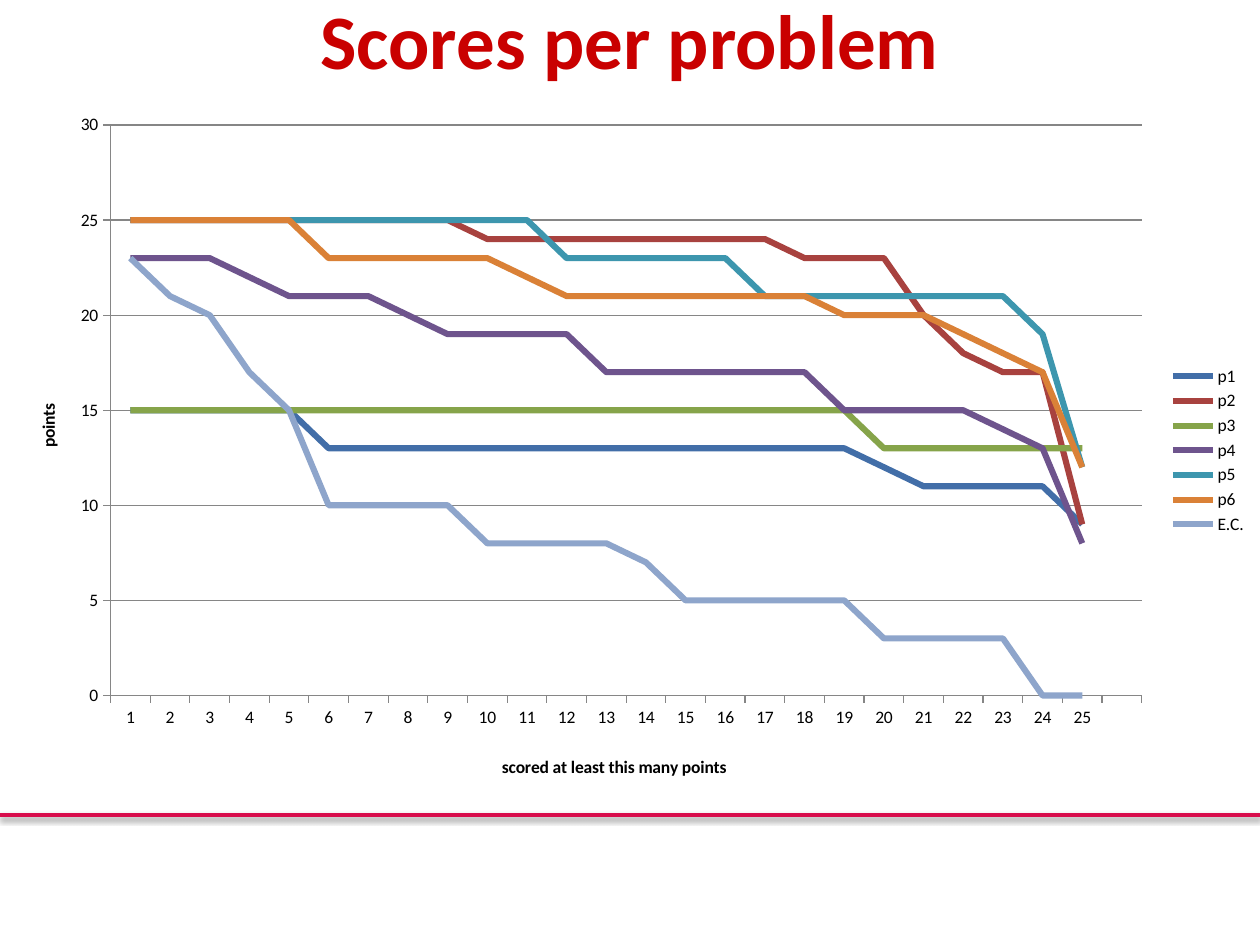
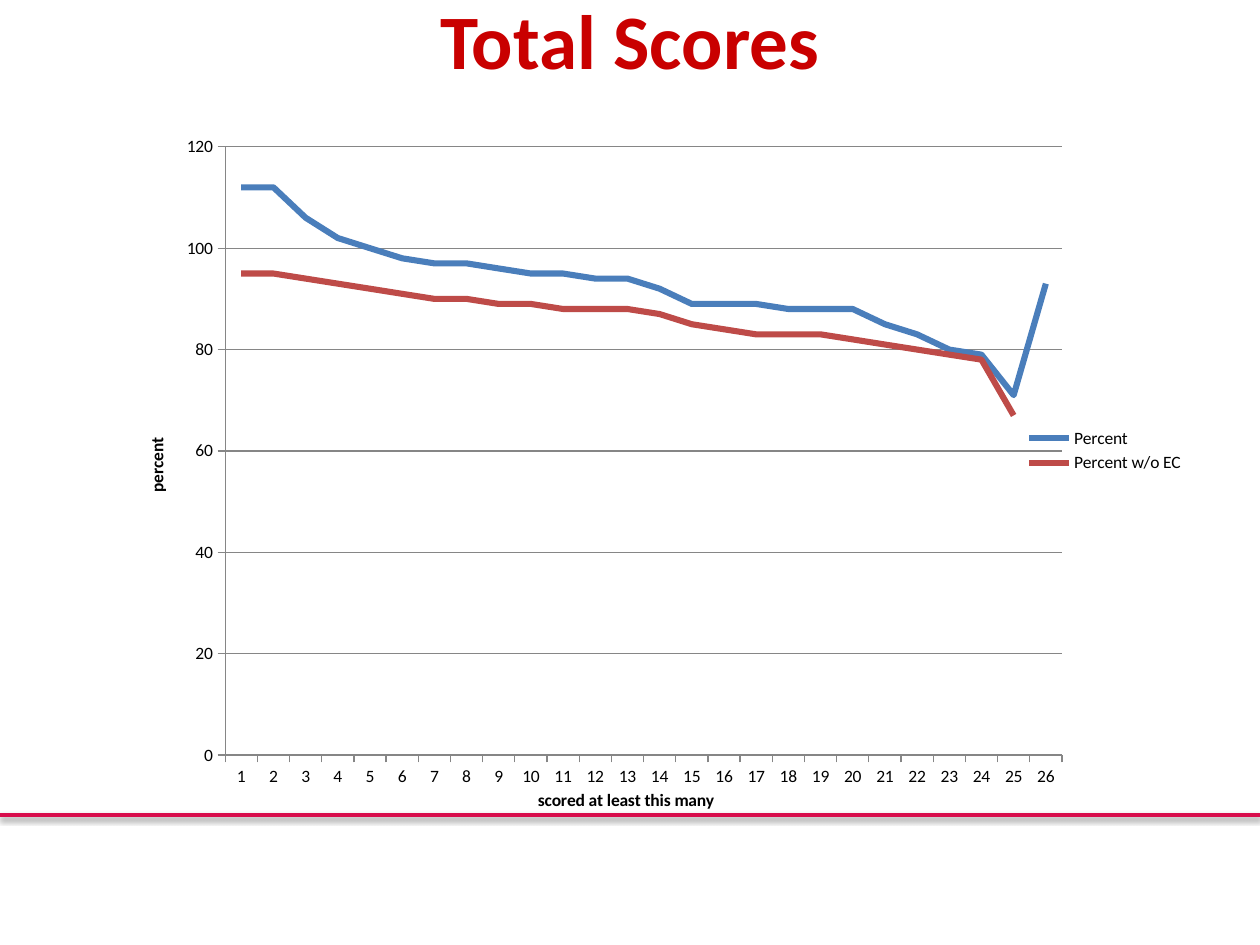
import pptx
import pptx.chart.data
import pptx.dml.color
import pptx.enum.chart
import pptx.enum.shapes
import pptx.enum.text
import pptx.oxml
import pptx.oxml.ns
import pptx.util
import lxml.etree

Inches, Pt, qn = pptx.util.Inches, pptx.util.Pt, pptx.oxml.ns.qn
FONT = "Calibri"
COLORS = {
    "title": "C90000", "rule": "D80D4C", "text": "000000", "grid": "868686",
    "p1": "426EA8", "p2": "A8423F", "p3": "86A44A", "p4": "6E548D",
    "p5": "3D96AE", "p6": "DA8137", "E.C.": "8EA5CB",
    "Percent": "4A7EBB", "Percent w/o EC": "BE4B48",
}
PROBLEM_SCORES = {
    "p1": [15] * 5 + [13] * 14 + [12] + [11] * 4 + [9],
    "p2": [25] * 9 + [24] * 8 + [23] * 3 + [20, 18, 17, 17, 9],
    "p3": [15] * 19 + [13] * 6,
    "p4": [23] * 3 + [22] + [21] * 3 + [20] + [19] * 4 + [17] * 6 + [15] * 4 + [14, 13, 8],
    "p5": [25] * 11 + [23] * 5 + [21] * 7 + [19, 12],
    "p6": [25] * 5 + [23] * 5 + [22] + [21] * 7 + [20] * 3 + [19, 18, 17, 12],
    "E.C.": [23, 21, 20, 17, 15] + [10] * 4 + [8] * 4 + [7] + [5] * 5 + [3] * 4 + [0, 0],
}
TOTAL_SCORES = {
    "Percent": [112, 112, 106, 102, 100, 98, 97, 97, 96, 95, 95, 94, 94, 92,
                89, 89, 89, 88, 88, 88, 85, 83, 80, 79, 71, 93],
    "Percent w/o EC": [95, 95, 94, 93, 92, 91, 90, 90, 89, 89, 88, 88, 88, 87,
                       85, 84, 83, 83, 83, 82, 81, 80, 79, 78, 67],
}
RANKS = [str(rank) for rank in range(1, 27)]


def rgb(name):
    """Return the named colour."""
    return pptx.dml.color.RGBColor.from_string(COLORS[name])


def style_font(font, size, bold=False, color="text"):
    """Format a font in the deck's typeface."""
    font.name, font.size, font.bold = FONT, Pt(size), bold
    font.color.rgb = rgb(color)


def write_text(frame, text, size=10, bold=True, color="text"):
    """Fill a text frame with one centred, formatted line."""
    frame.text = text
    frame.paragraphs[0].alignment = pptx.enum.text.PP_ALIGN.CENTER
    style_font(frame.paragraphs[0].runs[0].font, size, bold, color)


def style_line(line, color, width):
    """Give a line its colour and width in points."""
    line.color.rgb = rgb(color)
    line.width = Pt(width)


def add_rule(slide, box):
    """Draw the shadowed rule along the top of box and move it to the slide's layout."""
    left, top, width, _ = box
    rule = slide.shapes.add_connector(
        pptx.enum.shapes.MSO_CONNECTOR.STRAIGHT,
        Inches(left), Inches(top), Inches(left + width), Inches(top))
    style_line(rule.line, "rule", 2)
    rule.element.spPr.append(pptx.oxml.parse_xml(
        f'<a:effectLst {pptx.oxml.ns.nsdecls("a")}>'
        '<a:outerShdw blurRad="40000" dist="20000" dir="5400000" rotWithShape="0">'
        '<a:srgbClr val="000000"><a:alpha val="38000"/></a:srgbClr>'
        '</a:outerShdw></a:effectLst>'))
    slide.slide_layout.shapes.element.append(rule.element)


def add_title(slide, box, text):
    """Place and format the title placeholder in box."""
    title = slide.shapes.title
    title.left, title.top, title.width, title.height = map(Inches, box)
    frame = title.text_frame
    frame.vertical_anchor = pptx.enum.text.MSO_ANCHOR.MIDDLE
    frame.auto_size = pptx.enum.text.MSO_AUTO_SIZE.NONE
    write_text(frame, text, size=44, color="title")


def set_layout(parent, **fractions):
    """Fix a chart part at fractions (x, y, w, h) of the chart."""
    layout = parent.find(qn("c:layout"))
    if layout is None:
        layout = pptx.oxml.parse_xml(f'<c:layout {pptx.oxml.ns.nsdecls("c")}/>')
        parent.insert(0, layout)
    manual = lxml.etree.SubElement(layout, qn("c:manualLayout"))
    settings = {"xMode": "edge", "yMode": "edge", **fractions}
    if "w" in fractions:
        settings = {"layoutTarget": "inner", **settings}
    for tag, value in settings.items():
        lxml.etree.SubElement(manual, qn("c:" + tag)).set("val", str(value))


def style_axis(axis, title, corner):
    """Format an axis and put its title at corner."""
    style_font(axis.tick_labels.font, 10)
    style_line(axis.format.line, "grid", 0.75)
    axis.major_tick_mark = pptx.enum.chart.XL_TICK_MARK.OUTSIDE
    axis.minor_tick_mark = pptx.enum.chart.XL_TICK_MARK.NONE
    write_text(axis.axis_title.text_frame, title)
    set_layout(axis.axis_title.format.element if hasattr(axis.axis_title.format, "element")
               else axis.axis_title._element, x=corner[0], y=corner[1])


def add_line_chart(slide, box, labels, scores, top_value, step, plot, rank_title, score_title):
    """Draw a score chart in box; each axis title is a (text, corner) pair."""
    chart_data = pptx.chart.data.CategoryChartData()
    chart_data.categories = labels
    for name, values in scores.items():
        chart_data.add_series(name, values + [None] * (len(labels) - len(values)))
    chart = slide.shapes.add_chart(
        pptx.enum.chart.XL_CHART_TYPE.LINE, *map(Inches, box), chart_data).chart
    style_font(chart.font, 10)
    chart.has_title = False
    chart.has_legend = True
    chart.legend.position = pptx.enum.chart.XL_LEGEND_POSITION.RIGHT
    chart.legend.include_in_layout = False
    style_font(chart.legend.font, 10)

    style_axis(chart.category_axis, *rank_title)
    score_axis = chart.value_axis
    style_axis(score_axis, *score_title)
    score_axis.axis_title.text_frame._txBody.find(qn("a:bodyPr")).set("rot", "-5400000")
    score_axis.minimum_scale, score_axis.maximum_scale = 0, top_value
    score_axis.major_unit = step
    score_axis.has_major_gridlines = True
    style_line(score_axis.major_gridlines.format.line, "grid", 0.75)

    chart.plots[0].vary_by_categories = False
    for series in chart.plots[0].series:
        series.smooth = False
        series.marker.style = pptx.enum.chart.XL_MARKER_STYLE.NONE
        style_line(series.format.line, series.name, 3.5)
    plot_area = chart.element.find(".//" + qn("c:plotArea"))
    set_layout(plot_area, **dict(zip("xywh", plot)))


deck = pptx.Presentation()
deck.slide_width, deck.slide_height = Inches(10), Inches(7.5)
title_only = deck.slide_layouts[5]
title_box = (0, -0.19, 10, 1)

problems = deck.slides.add_slide(title_only)
add_rule(problems, (0, 6.47, 10, 0))
add_title(problems, title_box, "Scores per problem")
add_line_chart(problems, (0.03, 0.81, 9.97, 5.53), RANKS[:-1] + [""], PROBLEM_SCORES,
               30, 5, (0.085, 0.033, 0.821, 0.819),
               ("scored at least this many points", (0.394, 0.934)),
               ("points", (0.024, 0.428)))

totals = deck.slides.add_slide(title_only)
add_title(totals, title_box, "Total Scores")
add_line_chart(totals, (0.5, 0.74, 9, 5.73), RANKS, TOTAL_SCORES,
               120, 20, (0.143, 0.075, 0.738, 0.851),
               ("scored at least this many", (0.416, 0.968)),
               ("percent", (0.07, 0.478)))

deck.save("out.pptx")
